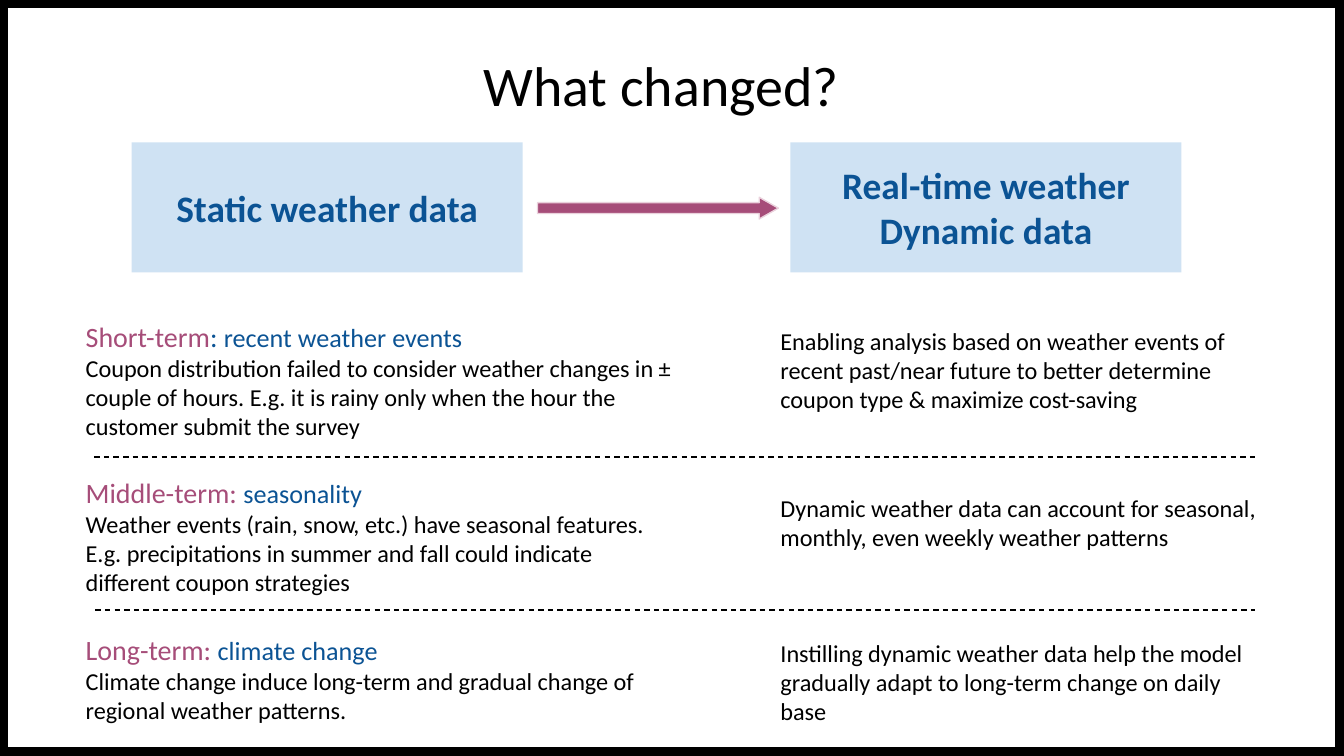
from dataclasses import dataclass

from lxml import etree
from pptx import Presentation
from pptx import util as u
from pptx.dml.color import RGBColor
from pptx.enum import dml, shapes, text
from pptx.oxml.ns import qn

FONT = "Calibri"
BLACK, WHITE = "000000", "FFFFFF"
BLUE, PALE_BLUE = "0B5394", "CFE2F3"
PLUM, PALE_PLUM = "A64D79", "EAD1DC"
SLIDE_WIDTH, SLIDE_HEIGHT = 25.4, 14.29
BANNER_TOP, BANNER_WIDTH, BANNER_HEIGHT = 2.69, 7.39, 2.46
LEFT_COLUMN, RIGHT_COLUMN = 1.37, 14.5


@dataclass
class Area:
    left: float
    top: float
    width: float
    height: float

    def lengths(self) -> tuple:
        return tuple(u.Cm(n) for n in (self.left, self.top, self.width, self.height))


@dataclass
class Span:
    words: str
    size: float
    color: str = BLACK
    bold: bool = False


@dataclass
class Term:
    top: float
    heading: list[Span]
    problem: str
    answer_top: float
    answer_width: float
    answer: str


@dataclass
class Banner:
    left: float
    lines: list[str]


TERMS = [
    Term(
        5.79,
        [Span("Short-term", 15, PLUM), Span(": ", 15, BLUE),
         Span("recent weather events", 14, BLUE)],
        "Coupon distribution failed to consider weather changes in ± couple of hours. "
        "E.g. it is rainy only when the hour the customer submit the survey",
        5.92, 9.25,
        "Enabling analysis based on weather events of recent past/near future to better "
        "determine coupon type & maximize cost-saving",
    ),
    Term(
        8.74,
        [Span("Middle-term: ", 15, PLUM), Span("seasonality", 14, BLUE)],
        "Weather events (rain, snow, etc.) have seasonal features. E.g. precipitations "
        "in summer and fall could indicate different coupon strategies",
        9.07, 9.58,
        "Dynamic weather data can account for seasonal, monthly, even weekly weather patterns",
    ),
    Term(
        11.71,
        [Span("Long-term: ", 15, PLUM), Span("climate change", 14, BLUE)],
        "Climate change induce long-term and gradual change of regional weather patterns.",
        11.81, 9.58,
        "Instilling dynamic weather data help the model gradually adapt to long-term "
        "change on daily base",
    ),
]
BANNERS = [
    Banner(2.49, ["Static weather data"]),
    Banner(14.94, ["Real-time weather", "Dynamic data"]),
]
DIVIDERS = [(1.78, 23.75, 8.64), (1.8, 23.72, 11.53)]


def paint(target, color: str) -> None:
    if hasattr(target, "solid"):
        target.solid()
        target.fore_color.rgb = RGBColor.from_string(color)
    else:
        target.rgb = RGBColor.from_string(color)


def write(shape, paragraphs: list[list[Span]], centred: bool = False,
          middle: bool = False, space_after: float = 0) -> None:
    frame = shape.text_frame
    frame.word_wrap = True
    frame.vertical_anchor = text.MSO_ANCHOR.MIDDLE if middle else text.MSO_ANCHOR.TOP
    frame.margin_left = frame.margin_right = u.Cm(0.25)
    frame.margin_top = frame.margin_bottom = u.Cm(0.25)
    for number, spans in enumerate(paragraphs):
        para = frame.add_paragraph() if number else frame.paragraphs[0]
        para.alignment = text.PP_ALIGN.CENTER if centred else text.PP_ALIGN.LEFT
        para.space_after = u.Pt(space_after)
        for span in spans:
            run = para.add_run()
            run.text = span.words
            run.font.name = FONT
            run.font.size = u.Pt(span.size)
            run.font.bold = span.bold
            paint(run.font.color, span.color)


def add_text(page, area: Area, paragraphs: list[list[Span]], **layout) -> None:
    write(page.shapes.add_textbox(*area.lengths()), paragraphs, **layout)


def add_frame(page) -> None:
    border = page.shapes.add_shape(
        shapes.MSO_SHAPE.RECTANGLE, *Area(0, 0, SLIDE_WIDTH, SLIDE_HEIGHT).lengths())
    border.shadow.inherit = False
    border.fill.background()
    paint(border.line.fill, BLACK)
    border.line.width = u.Pt(9)


def add_banner(page, banner: Banner) -> None:
    area = Area(banner.left, BANNER_TOP, BANNER_WIDTH, BANNER_HEIGHT)
    box = page.shapes.add_shape(shapes.MSO_SHAPE.RECTANGLE, *area.lengths())
    box.shadow.inherit = False
    paint(box.fill, PALE_BLUE)
    box.line.fill.background()
    write(box, [[Span(line, 20, BLUE, True)] for line in banner.lines],
          centred=True, middle=True)


def add_arrow(page, area: Area) -> None:
    arrow = page.shapes.add_shape(shapes.MSO_SHAPE.RIGHT_ARROW, *area.lengths())
    arrow.shadow.inherit = False
    arrow.adjustments[0] = 0.5
    arrow.adjustments[1] = 0.88
    paint(arrow.fill, PLUM)
    paint(arrow.line.fill, PALE_PLUM)
    arrow.line.width = u.Pt(0.75)


def add_divider(page, start: float, end: float, top: float) -> None:
    divider = page.shapes.add_connector(
        shapes.MSO_CONNECTOR.STRAIGHT, u.Cm(start), u.Cm(top), u.Cm(end), u.Cm(top))
    paint(divider.line.fill, BLACK)
    divider.line.width = u.Pt(0.75)
    divider.line.dash_style = dml.MSO_LINE.DASH
    etree.SubElement(divider._element.spPr, qn("a:effectLst"))


def add_term(page, term: Term) -> None:
    add_text(page, Area(LEFT_COLUMN, term.top, 11.58, 2.59),
             [term.heading, [Span(term.problem, 13)]])
    add_text(page, Area(RIGHT_COLUMN, term.answer_top, term.answer_width, 2.46),
             [[Span(term.answer, 13)]], space_after=16)


def main() -> None:
    deck = Presentation()
    deck.slide_width, deck.slide_height = u.Cm(SLIDE_WIDTH), u.Cm(SLIDE_HEIGHT)
    page = deck.slides.add_slide(deck.slide_layouts[6])
    paint(page.background.fill, WHITE)
    add_frame(page)
    add_text(page, Area(1.8, 0.71, 21.39, 1.32), [[Span("What changed?", 30)]], centred=True)
    for banner in BANNERS:
        add_banner(page, banner)
    add_arrow(page, Area(10.16, 3.73, 4.55, 0.41))
    for term in TERMS:
        add_term(page, term)
    for start, end, top in DIVIDERS:
        add_divider(page, start, end, top)
    deck.save("out.pptx")


if __name__ == "__main__":
    main()
